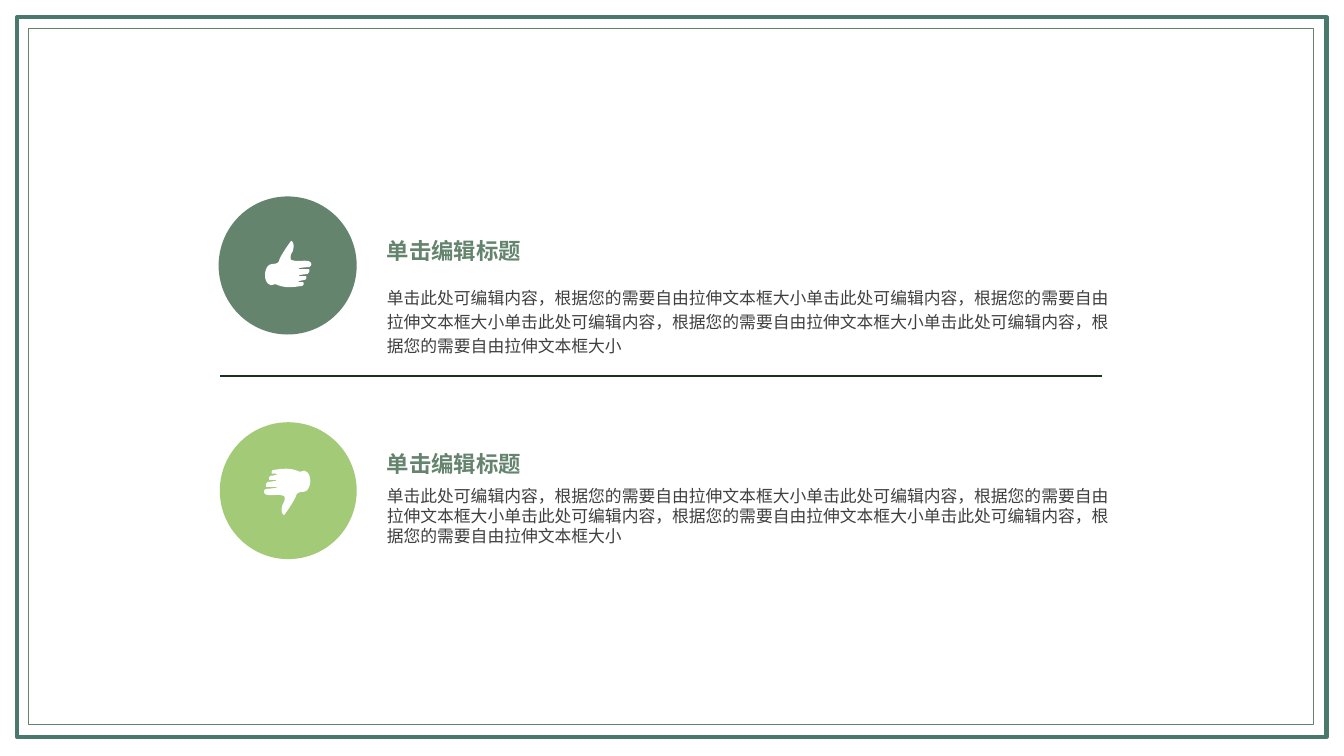
from pptx import Presentation
from pptx.dml.color import RGBColor
from pptx.enum import shapes, text
from pptx.oxml import parse_xml
from pptx.oxml import ns
from pptx.util import Cm, Pt

GREEN, LIME, WHITE = "64846E", "A2CA77", "FFFFFF"
HEADING = "单击编辑标题"
BODY = "单击此处可编辑内容，" + "，".join(["根据您的需要自由拉伸文本框大小单击此处可编辑内容"] * 3) + "，根据您的需要自由拉伸文本框大小"

# Thumb outline in units of 0.0254 cm: a pair is a corner,
# six numbers are a Bezier curve (two handles and an end point)
UNIT = 0.0254
THUMB = [
    (37, 35), (37, 34),
    (37, 34, 43, 33, 45, 33), (48, 31, 47, 29, 47, 28),
    (37, 28), (36, 27), (37, 27),
    (37, 27, 45, 26, 46, 26), (47, 26),
    (49, 25, 50, 23, 48, 21), (46, 19, 39, 20, 35, 20),
    (33, 20), (31, 19, 27, 19, 27, 19), (29, 19),
    (27, 14, 31, 11, 31, 9), (33, 1, 29, 0, 29, 0),
    (29, 0, 18, 15, 17, 20), (16, 23, 11, 23, 10, 23),
    (2, 23, 0, 42, 9, 44), (11, 44, 13, 42, 16, 44),
    (24, 47, 31, 46, 38, 45), (42, 45, 42, 42, 41, 41),
    (39, 41, 37, 41, 37, 41), (36, 40), (37, 40),
    (37, 40, 40, 39, 42, 39), (45, 38, 44, 36, 44, 35),
]


def rgb(hex_colour):
    return RGBColor.from_string(hex_colour)


def paint(sp, fill=None, line=None, width=0):
    sp.shadow.inherit = False
    if fill:
        sp.fill.solid()
        sp.fill.fore_color.rgb = rgb(fill)
    else:
        sp.fill.background()
    if line:
        sp.line.color.rgb = rgb(line)
        sp.line.width = Pt(width)
    else:
        sp.line.fill.background()


def add_frame(s, inset, w, h, colour, width):
    sp = s.shapes.add_shape(shapes.MSO_SHAPE.RECTANGLE, Cm(inset), Cm(inset), Cm(w), Cm(h))
    paint(sp, line=colour, width=width)


def add_circle(s, x, y, size, colour):
    sp = s.shapes.add_shape(shapes.MSO_SHAPE.OVAL, Cm(x), Cm(y), Cm(size), Cm(size))
    paint(sp, fill=colour)


def add_divider(s, x1, x2, y, colour):
    line = s.shapes.add_connector(shapes.MSO_CONNECTOR.STRAIGHT, Cm(x1), Cm(y), Cm(x2), Cm(y))
    line.line.color.rgb = rgb(colour)
    line.line.width = Pt(1)
    line._element.spPr.append(parse_xml(f"<a:effectLst {ns.nsdecls('a')}/>"))


def flatten(outline, steps=8):
    """Turn corners and Bezier curves into a list of points."""
    points = []
    for part in outline:
        if len(part) == 2:
            points.append(part)
            continue
        x0, y0 = points[-1]
        x1, y1, x2, y2, x3, y3 = part
        for i in range(1, steps + 1):
            t = i / steps
            a, b, c, d = (1 - t) ** 3, 3 * t * (1 - t) ** 2, 3 * t * t * (1 - t), t ** 3
            points.append((a * x0 + b * x1 + c * x2 + d * x3,
                           a * y0 + b * y1 + c * y2 + d * y3))
    return points


def add_thumb(s, x, y, direction):
    """Draw the thumb from (x, y); direction -1 turns it upside down."""
    points = [(Cm(x + direction * UNIT * px), Cm(y + direction * UNIT * py))
              for px, py in flatten(THUMB)]
    builder = s.shapes.build_freeform(*points[0])
    builder.add_line_segments(points[1:], close=True)
    paint(builder.convert_to_shape(), fill=WHITE)


def add_text(s, x, y, w, h, words, font, size, colour, bold=False, before=0, spacing=1.0):
    tf = s.shapes.add_textbox(Cm(x), Cm(y), Cm(w), Cm(h)).text_frame
    tf.word_wrap = True
    tf.auto_size = text.MSO_AUTO_SIZE.SHAPE_TO_FIT_TEXT
    tf.margin_left = tf.margin_top = tf.margin_right = tf.margin_bottom = 0
    p = tf.paragraphs[0]
    p.space_before = Pt(before)
    p.line_spacing = spacing
    r = p.add_run()
    r.text = words
    r.font.name, r.font.size, r.font.bold = font, Pt(size), bold
    r.font.color.rgb = rgb(colour)


def add_heading(s, y):
    add_text(s, 9.75, y, 4.01, 0.69, HEADING, "Arial", 16, GREEN, bold=True, before=3.2)


def add_body(s, y, h, **paragraph):
    add_text(s, 9.75, y, 18.59, h, BODY, "Calibri", 12, "404040", **paragraph)


def main():
    prs = Presentation()
    prs.slide_width, prs.slide_height = Cm(33.87), Cm(19.05)
    s = prs.slides.add_slide(prs.slide_layouts[6])

    # Double border
    add_frame(s, 0.43, 33, 18.14, "49786D", 3)
    add_frame(s, 0.71, 32.39, 17.55, GREEN, 0.5)

    # Thumb up
    add_circle(s, 5.51, 4.95, 3.48, GREEN)
    add_thumb(s, 6.6, 6.07, 1)
    add_heading(s, 5.97)
    add_body(s, 7.14, 1.85, before=2.4, spacing=1.2)

    add_divider(s, 5.54, 27.76, 9.47, "18341D")

    # Thumb down
    add_circle(s, 5.54, 10.64, 3.45, LIME)
    add_thumb(s, 7.9, 12.98, -1)
    add_heading(s, 11.35)
    add_body(s, 12.24, 1.55)

    prs.save("out.pptx")


if __name__ == "__main__":
    main()
